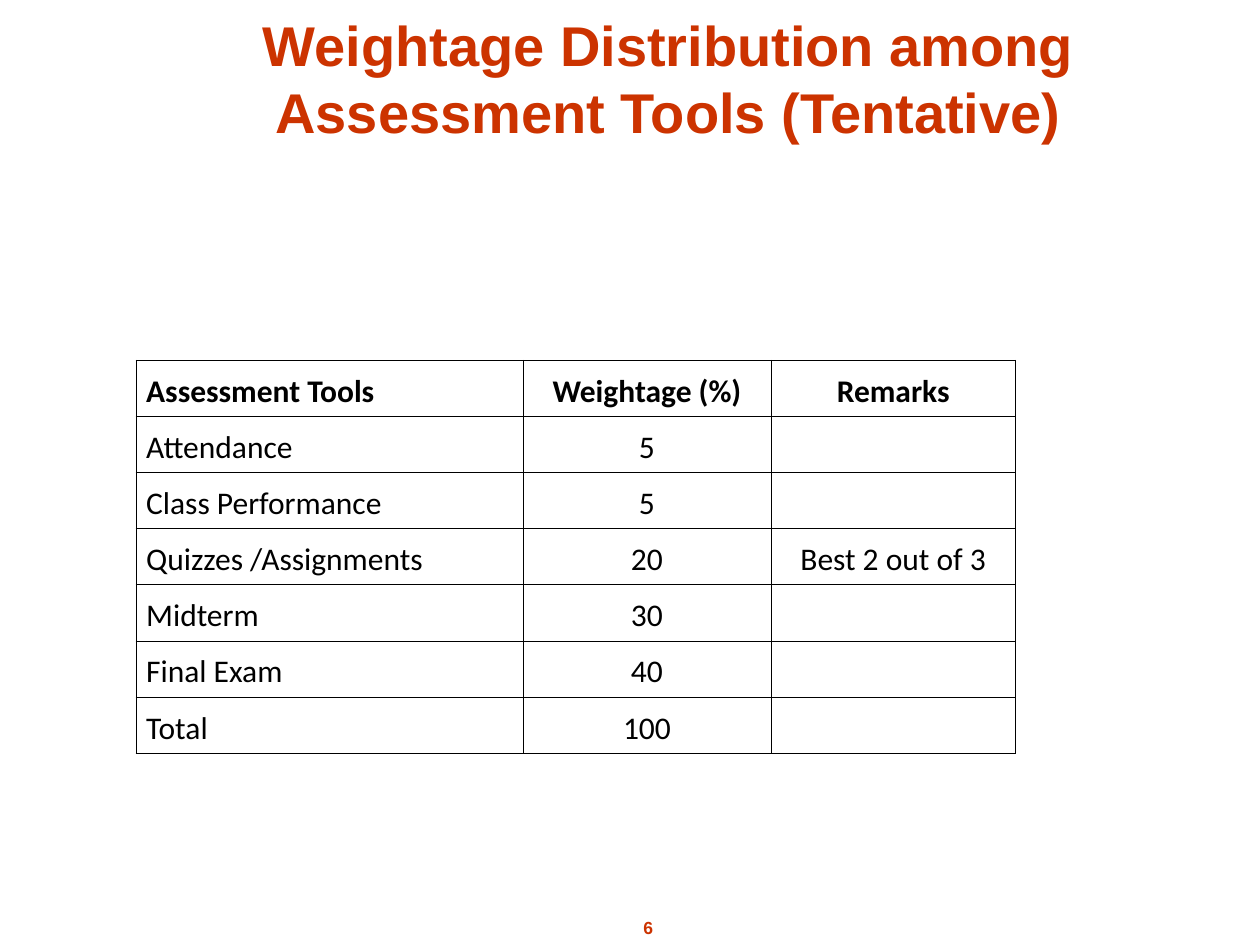
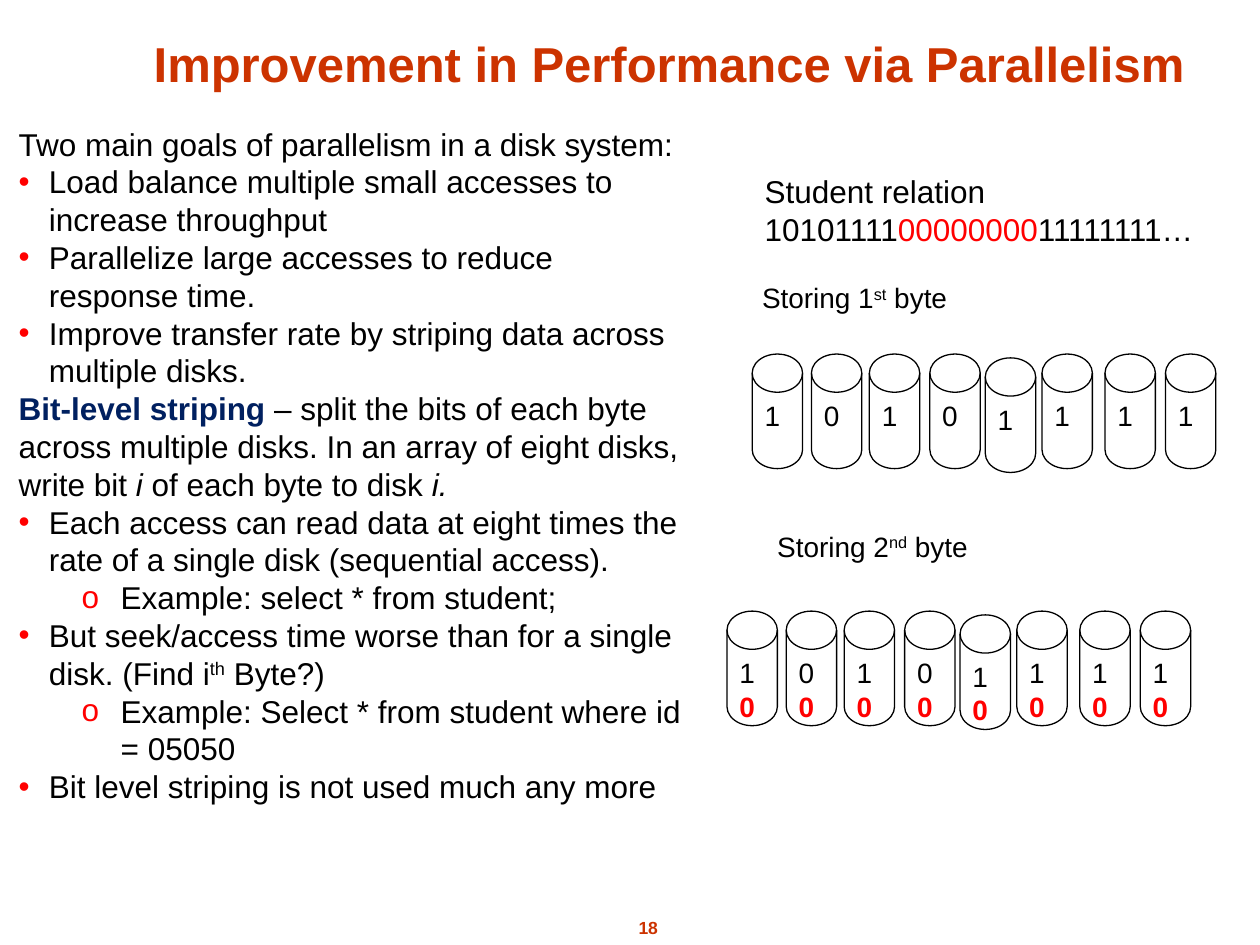
from lxml import etree
from pptx import Presentation
from pptx.dml.color import RGBColor
from pptx.enum.shapes import MSO_SHAPE
from pptx.enum.text import MSO_ANCHOR, MSO_AUTO_SIZE, PP_ALIGN
from pptx.oxml.ns import qn
from pptx.util import Emu, Pt

EMU_PER_PX = 9144
DISK = MSO_SHAPE.FLOWCHART_MAGNETIC_DISK
TOP, BOTTOM = MSO_ANCHOR.TOP, MSO_ANCHOR.BOTTOM
NO_FIT, GROW = MSO_AUTO_SIZE.NONE, MSO_AUTO_SIZE.SHAPE_TO_FIT_TEXT
LEFT, CENTER = PP_ALIGN.LEFT, PP_ALIGN.CENTER
TITLE_ONLY = 5

COLORS = {"title": "CC3300", "text": "000000", "accent": "FF0000",
          "term": "002060", "paper": "FFFFFF"}
BULLETS = {1: ("•", 24, 24), 2: ("o", 81, 31)}
BORDER_SIDES = ("a:lnL", "a:lnR", "a:lnT", "a:lnB")

ASSESSMENT_COLUMNS = (307, 197, 194)
ASSESSMENT_ROWS = (
    ("Assessment Tools", "Weightage (%)", "Remarks"),
    ("Attendance", "5", ""),
    ("Class Performance", "5", ""),
    ("Quizzes /Assignments", "20", "Best 2 out of 3"),
    ("Midterm", "30", ""),
    ("Final Exam", "40", ""),
    ("Total", "100", ""),
)

ITALIC = {"italic": True}
RAISED = {"raised": True}
RED = {"color": "accent"}
RED_BOLD = {"color": "accent", "bold": True}
PARALLELISM_NOTES = (
    (0, [("Two main goals of parallelism in a disk system:", {})]),
    (1, [("Load balance multiple small accesses to increase throughput", {})]),
    (1, [("Parallelize large accesses to reduce response time.", {})]),
    (1, [("Improve transfer rate by striping data across multiple disks.", {})]),
    (0, [("Bit-level striping ", {"color": "term", "bold": True}),
         ("– split the bits of each byte across multiple disks. "
          "In an array of eight disks, write bit ", {}),
         ("i", ITALIC), (" of each byte to disk ", {}), ("i.", ITALIC)]),
    (1, [("Each access can read data at eight times the rate of a single disk "
          "(sequential access).", {})]),
    (2, [("Example: select * from student;", {})]),
    (1, [("But seek/access time worse than for a single disk. (Find i", {}),
         ("th", RAISED), (" Byte?)", {})]),
    (2, [("Example: Select * from student where id = 05050", {})]),
    (1, [("Bit level striping is not used much any more", {})]),
)
STUDENT_RELATION = (
    (0, [("Student relation", {})]),
    (0, [("10101111", {}), ("00000000", RED), ("11111111…", {})]),
)
DISK_OFFSETS = ((0, 0), (47, 0), (93, 0), (141, 0),
                (185, 3), (230, 0), (280, 0), (328, 0))
DISK_SIZE = (40, 91)
FIRST_BYTE, SECOND_BYTE = "10101111", "00000000"


def px(length):
    """Turn a length in px into EMU."""
    return Emu(length * EMU_PER_PX)


def rgb(name):
    """Look up a named colour."""
    return RGBColor.from_string(COLORS[name])


def add_run(paragraph, text, size, color="text", bold=False, italic=False,
            raised=False, font="Arial"):
    """Append one formatted run to a paragraph."""
    run = paragraph.add_run()
    run.text = text
    run.font.name = font
    run.font.size = Pt(size)
    run.font.bold = bold
    run.font.italic = italic
    run.font.color.rgb = rgb(color)
    if raised:
        run.font._element.set("baseline", "30000")


def set_bullet(paragraph, level):
    """Give a paragraph the hanging bullet of its level."""
    character, margin, hanging = BULLETS[level]
    properties = paragraph._p.get_or_add_pPr()
    properties.set("marL", str(px(margin)))
    properties.set("indent", str(-px(hanging)))
    bullet_color = etree.SubElement(properties, qn("a:buClr"))
    etree.SubElement(bullet_color, qn("a:srgbClr"), val=COLORS["accent"])
    etree.SubElement(properties, qn("a:buFont"), typeface="Arial")
    etree.SubElement(properties, qn("a:buChar"), char=character)
    paragraph.level = level - 1


def add_text(slide, box, paragraphs, size, align=LEFT, wrap=True):
    """Add a text box of (level, runs) paragraphs."""
    frame = slide.shapes.add_textbox(*map(px, box)).text_frame
    frame.word_wrap = wrap
    frame.auto_size = GROW
    for index, (level, runs) in enumerate(paragraphs):
        paragraph = frame.add_paragraph() if index else frame.paragraphs[0]
        paragraph.alignment = align
        if level:
            set_bullet(paragraph, level)
        for text, style in runs:
            add_run(paragraph, text, size, **style)


def add_titled_slide(presentation, title, box, size, number):
    """Add a slide with its title and page number."""
    slide = presentation.slides.add_slide(presentation.slide_layouts[TITLE_ONLY])
    shape = slide.shapes.title
    shape.left, shape.top, shape.width, shape.height = map(px, box)
    frame = shape.text_frame
    frame.auto_size = NO_FIT
    frame.vertical_anchor = BOTTOM
    paragraph = frame.paragraphs[0]
    paragraph.alignment = CENTER
    add_run(paragraph, title, size, "title", bold=True)
    page_number = [(number, {"color": "title", "bold": True})]
    add_text(slide, (471, 723, 87, 27), [(0, page_number)], 10, CENTER, wrap=False)
    return slide


def set_borders(cell):
    """Draw thin lines on all four sides of a cell."""
    properties = cell._tc.get_or_add_tcPr()
    for index, side in enumerate(BORDER_SIDES):
        line = etree.Element(qn(side), w=str(Pt(0.45)))
        fill = etree.SubElement(line, qn("a:solidFill"))
        etree.SubElement(fill, qn("a:srgbClr"), val=COLORS["text"])
        properties.insert(index, line)


def add_assessment_table(slide, box):
    """Add the table of assessment weights."""
    table = slide.shapes.add_table(len(ASSESSMENT_ROWS), len(ASSESSMENT_COLUMNS),
                                   *map(px, box)).table
    table.first_row = table.horz_banding = False
    for column, width in zip(table.columns, ASSESSMENT_COLUMNS):
        column.width = px(width)
    for row_index, texts in enumerate(ASSESSMENT_ROWS):
        for column_index, text in enumerate(texts):
            cell = table.cell(row_index, column_index)
            cell.margin_left = cell.margin_right = px(8)
            cell.fill.solid()
            cell.fill.fore_color.rgb = rgb("paper")
            set_borders(cell)
            paragraph = cell.text_frame.paragraphs[0]
            paragraph.alignment = CENTER if column_index else LEFT
            paragraph.line_spacing = 1.15
            if text:
                add_run(paragraph, text, 18, bold=row_index == 0, font="Calibri")


def add_disk_array(slide, left, top, stored_bytes):
    """Add a row of disks, each holding one bit of every stored byte."""
    group = slide.shapes.add_group_shape()
    for (x, y), bits in zip(DISK_OFFSETS, zip(*stored_bytes)):
        disk = group.shapes.add_shape(DISK, px(left + x), px(top + y),
                                      *map(px, DISK_SIZE))
        disk.shadow.inherit = False
        disk.fill.solid()
        disk.fill.fore_color.rgb = rgb("paper")
        disk.line.color.rgb = rgb("text")
        disk.line.width = Pt(0.75)
        frame = disk.text_frame
        frame.word_wrap = True
        frame.vertical_anchor = TOP
        paragraph = frame.paragraphs[0]
        paragraph.alignment = LEFT
        for bit, style in zip(bits, ({}, RED_BOLD)):
            add_run(paragraph, bit, 16, **style)


def add_byte_label(slide, left, top, number, suffix):
    """Add the caption above a disk array."""
    runs = [(f"Storing {number}", {}), (suffix, RAISED), (" byte", {})]
    add_text(slide, (left, top, 302, 37), [(0, runs)], 16)


def add_weightage_slide(presentation):
    """Build the slide on assessment weights."""
    slide = add_titled_slide(
        presentation, "Weightage Distribution among Assessment Tools (Tentative)",
        (89, 53, 883, 67), 32, "6")
    add_assessment_table(slide, (108, 286, 698, 267))


def add_parallelism_slide(presentation):
    """Build the slide on bit-level striping."""
    slide = add_titled_slide(
        presentation, "Improvement in Performance via Parallelism",
        (43, 28, 976, 50), 28, "18")
    add_text(slide, (5, 94, 550, 580), PARALLELISM_NOTES, 18)
    add_disk_array(slide, 597, 281, [FIRST_BYTE])
    add_text(slide, (597, 132, 418, 70), STUDENT_RELATION, 18)
    add_byte_label(slide, 595, 218, 1, "st")
    add_byte_label(slide, 607, 415, 2, "nd")
    add_disk_array(slide, 577, 485, [FIRST_BYTE, SECOND_BYTE])


def main():
    """Build and save the presentation."""
    presentation = Presentation()
    presentation.slide_width, presentation.slide_height = px(1000), px(750)
    add_weightage_slide(presentation)
    add_parallelism_slide(presentation)
    presentation.save("out.pptx")


if __name__ == "__main__":
    main()
